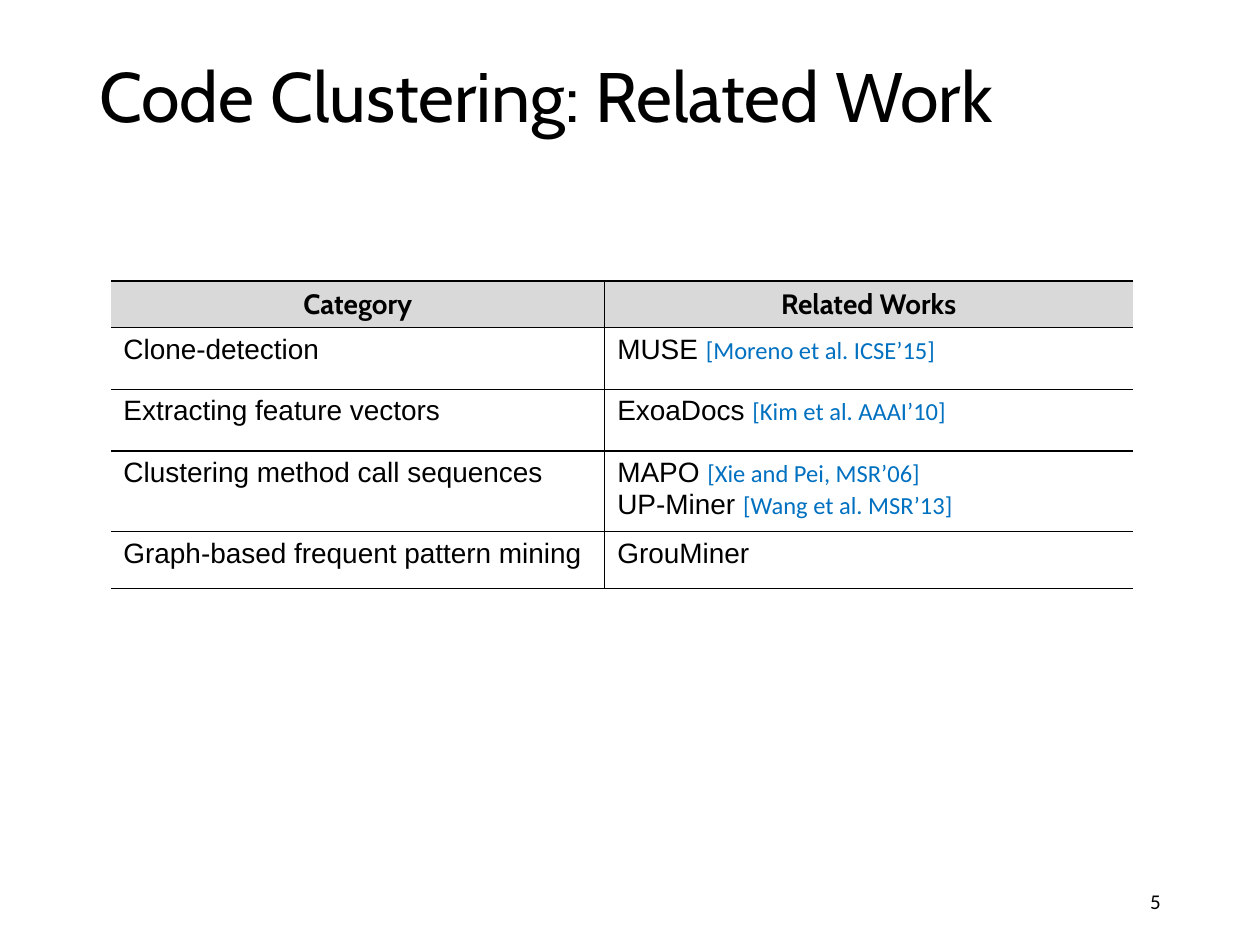
from lxml.etree import SubElement
from pptx import Presentation
from pptx.dml.color import RGBColor
from pptx.enum.text import MSO_ANCHOR as Anchor, PP_ALIGN as Align
from pptx.oxml.ns import qn
from pptx.util import Inches, Pt


def paint(code):
    return RGBColor.from_string(code)


class Deck:
    """Holds the style and the current slide, and draws its elements."""

    black, blue, gray = "000000", "0070C0", "D9D9D9"
    head, body, cite = ("Cabin", 16, black), ("Arial", 16, black), ("Calibri", 14, blue)

    def __init__(self):
        self.prs = Presentation()
        self.prs.slide_width, self.prs.slide_height = Inches(10), Inches(7.5)
        self.slide = self.prs.slides.add_slide(self.prs.slide_layouts[6])

    def run(self, para, text, style, bold=False):
        name, size, color = style
        run = para.add_run()
        run.text = text
        font = run.font
        font.name, font.size, font.bold = name, Pt(size), bold
        font.color.rgb = paint(color)

    def text(self, box, text, style, align=Align.LEFT, space=1.0):
        frame = self.slide.shapes.add_textbox(*map(Inches, box)).text_frame
        frame.word_wrap = True
        frame.vertical_anchor = Anchor.MIDDLE
        para = frame.paragraphs[0]
        para.alignment, para.line_spacing = align, space
        self.run(para, text, style)

    def edge(self, cell, side, shown):
        line = SubElement(cell._tc.get_or_add_tcPr(), qn(f"a:ln{side}"), w=str(Pt(1)))
        if shown:
            fill = SubElement(line, qn("a:solidFill"))
            SubElement(fill, qn("a:srgbClr"), val=self.black)
        else:
            SubElement(line, qn("a:noFill"))

    def cell(self, cell, lines, top, first):
        for side, shown in zip("LRTB", (not first, first, True, True)):
            self.edge(cell, side, shown)
        if top:
            cell.fill.solid()
            cell.fill.fore_color.rgb = paint(self.gray)
        else:
            cell.fill.background()
        frame = cell.text_frame
        for i, (name, source) in enumerate(lines):
            para = frame.add_paragraph() if i else frame.paragraphs[0]
            para.alignment = Align.CENTER if top else Align.LEFT
            self.run(para, name, self.head if top else self.body, top)
            if source:
                self.run(para, source, self.cite)

    def table(self, spot, widths, heights, rows):
        size = sum(widths), sum(heights)
        frame = self.slide.shapes.add_table(
            len(rows), len(widths), *map(Inches, (*spot, *size)))
        table = frame.table
        table.first_row = table.horz_banding = False
        for col, width in zip(table.columns, widths):
            col.width = Inches(width)
        for r, (row, height) in enumerate(zip(rows, heights)):
            table.rows[r].height = Inches(height)
            label, works = row
            self.cell(table.cell(r, 0), [(label, "")], r == 0, True)
            self.cell(table.cell(r, 1), works, r == 0, False)


def main():
    deck = Deck()
    deck.text((0.69, 0.4, 8.62, 0.79), "Code Clustering: Related Work",
              ("Cabin", 40, deck.black), space=0.9)
    deck.text((7.06, 6.95, 2.25, 0.4), "5", ("Calibri", 12, deck.black), Align.RIGHT)
    rows = [
        ("Category", [("Related Works", "")]),
        ("Clone-detection", [("MUSE ", "[Moreno et al. ICSE’15]")]),
        ("Extracting feature vectors", [("ExoaDocs ", "[Kim et al. AAAI’10]")]),
        ("Clustering method call sequences",
         [("MAPO ", "[Xie and Pei, MSR’06]"), ("UP-Miner ", "[Wang et al. MSR’13]")]),
        ("Graph-based frequent pattern mining", [("GrouMiner", "")]),
    ]
    deck.table((0.88, 2.23), (3.92, 4.19), (0.37, 0.49, 0.49, 0.64, 0.45), rows)
    deck.prs.save("out.pptx")


if __name__ == "__main__":
    main()
